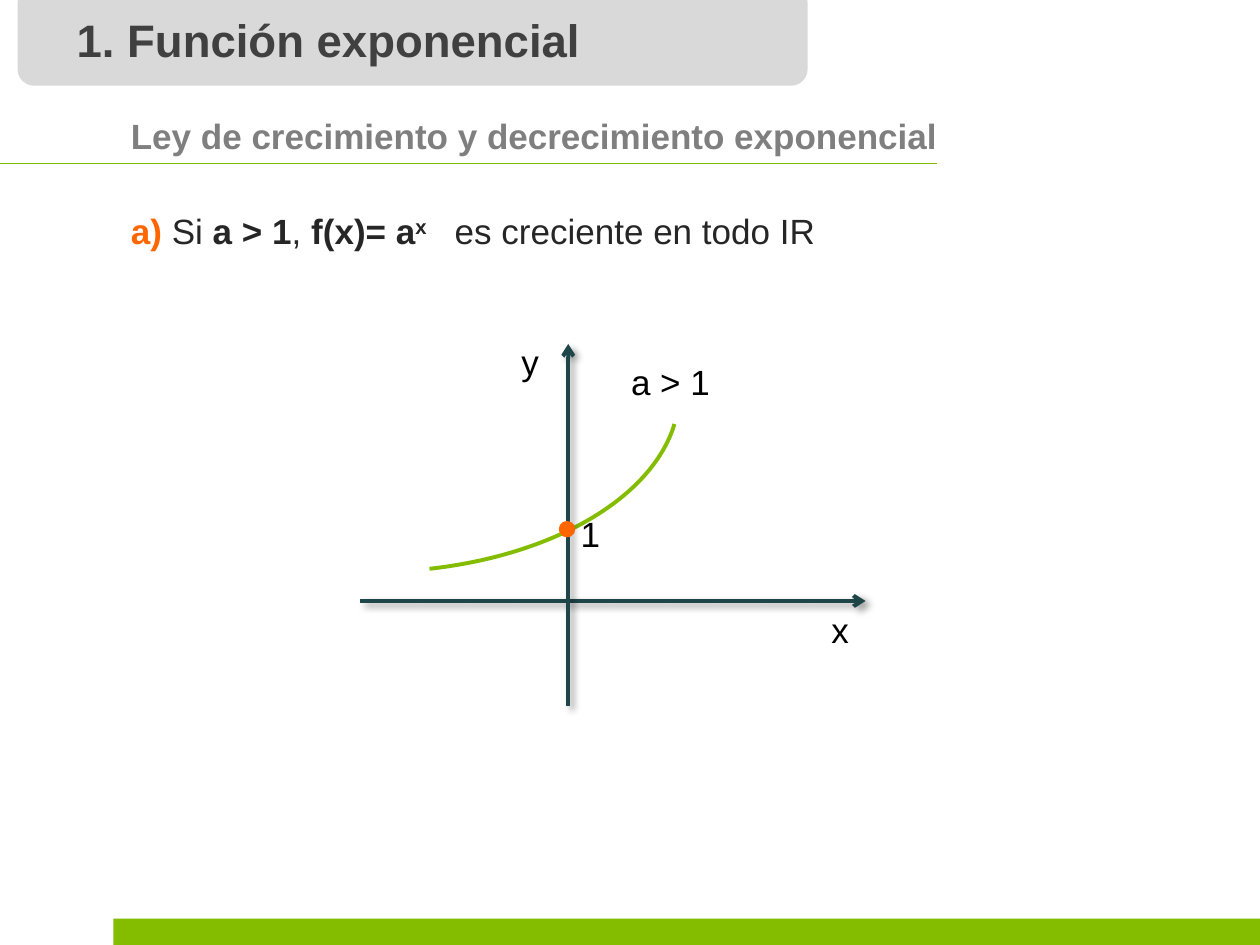
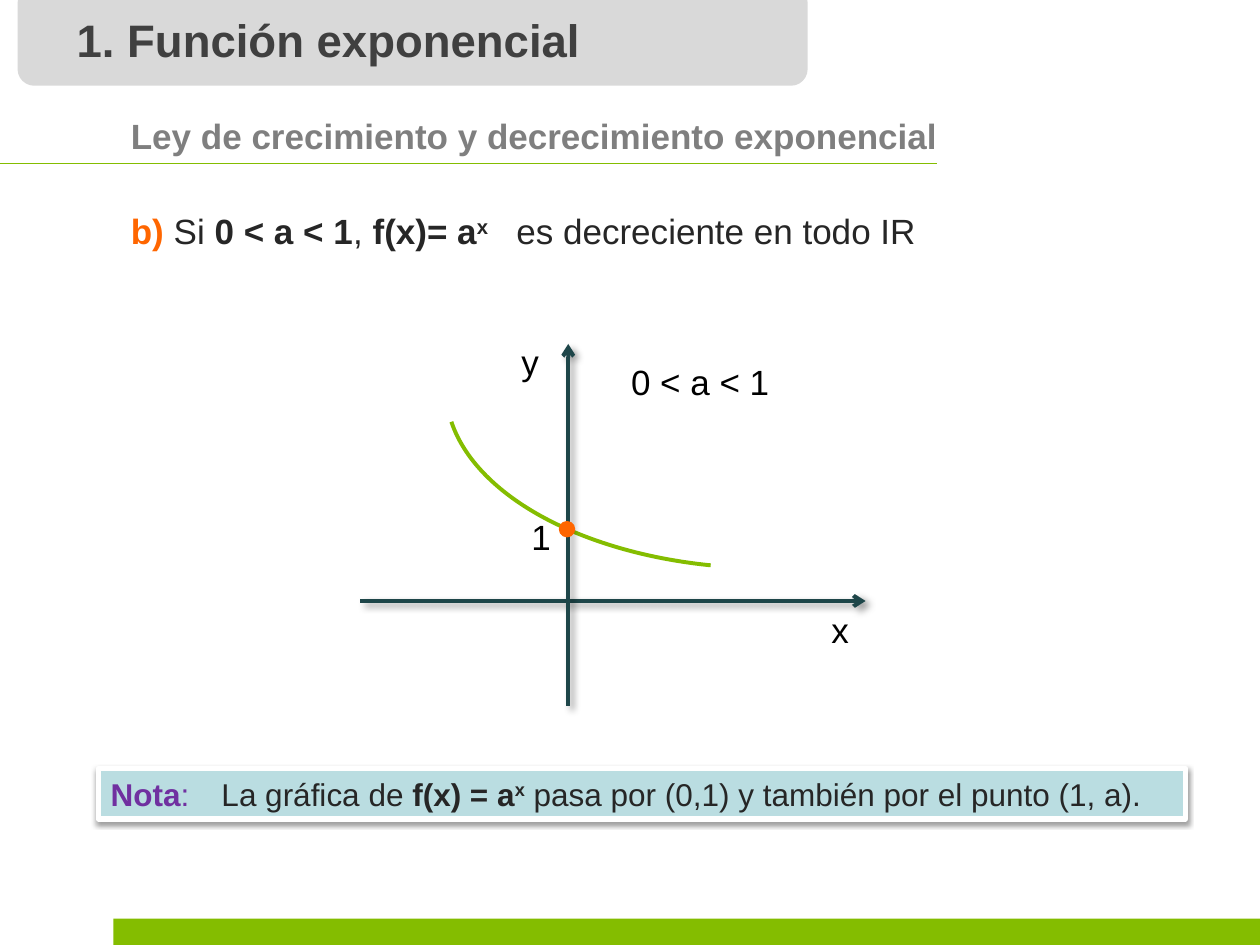
from lxml import etree
from pptx import Presentation
from pptx.dml.color import RGBColor
from pptx.enum.shapes import MSO_CONNECTOR, MSO_SHAPE
from pptx.enum.text import MSO_ANCHOR, PP_ALIGN
from pptx.oxml.ns import qn
from pptx.util import Inches, Pt

STRAIGHT = MSO_CONNECTOR.STRAIGHT
RECT, ROUND_RECT = MSO_SHAPE.RECTANGLE, MSO_SHAPE.ROUNDED_RECTANGLE
ARC, OVAL = MSO_SHAPE.ARC, MSO_SHAPE.OVAL
MIDDLE, LEFT = MSO_ANCHOR.MIDDLE, PP_ALIGN.LEFT

FONT = "Arial"
COLORS = {
    "green": "84BD00", "band": "D9D9D9", "title": "404040",
    "subtitle": "7F7F7F", "text": "262626", "accent": "FF6600",
    "axis": "1E4649", "label": "000000", "note": "BADDE1",
    "note_head": "7030A0", "white": "FFFFFF",
}


def rgb(name):
    return RGBColor.from_string(COLORS[name])


def add_effects(shape, shadow=None):
    """Set the effects; shadow is (alpha %, blur pt, distance pt, degrees)."""
    effects = etree.SubElement(shape._element.spPr, qn("a:effectLst"))
    if shadow:
        alpha, blur, dist, angle = shadow
        outer = etree.SubElement(
            effects, qn("a:outerShdw"), blurRad=str(Pt(blur)),
            dist=str(Pt(dist)), dir=str(angle * 60000), rotWithShape="0")
        color = etree.SubElement(outer, qn("a:srgbClr"), val=COLORS["label"])
        etree.SubElement(color, qn("a:alpha"), val=str(alpha * 1000))


def add_shape(slide, kind, box, fill=None, line=None, width=0.75):
    sp = slide.shapes.add_shape(kind, *map(Inches, box))
    if fill:
        sp.fill.solid()
        sp.fill.fore_color.rgb = rgb(fill)
    else:
        sp.fill.background()
    if line:
        sp.line.color.rgb = rgb(line)
        sp.line.width = Pt(width)
    else:
        sp.line.fill.background()
    return sp


def add_line(slide, start, end, color, width, arrow=False, shadow=None):
    cx = slide.shapes.add_connector(STRAIGHT, *map(Inches, start + end))
    cx.line.color.rgb = rgb(color)
    cx.line.width = Pt(width)
    if arrow:
        ln = cx._element.spPr.find(qn("a:ln"))
        etree.SubElement(ln, qn("a:tailEnd"), type="arrow")
    add_effects(cx, shadow)


def add_text(slide, box, text, size=20, color="label", bold=False, wrap=True):
    tf = slide.shapes.add_textbox(*map(Inches, box)).text_frame
    tf.word_wrap = wrap
    p = tf.paragraphs[0]
    p.text = text
    p.font.name, p.font.size, p.font.bold = FONT, Pt(size), bold
    p.font.color.rgb = rgb(color)
    return p


def add_runs(p, runs, size):
    """Fill a paragraph with runs of (text, color, bold, raised)."""
    p.font.name, p.font.size = FONT, Pt(size)
    for text, color, bold, raised in runs:
        r = p.add_run()
        r.text = text
        r.font.bold = bold
        r.font.color.rgb = rgb(color)
        if raised:
            r._r.get_or_add_rPr().set("baseline", "30000")


def add_frame(slide):
    # Footer band
    add_shape(slide, RECT, (0.9, 7.29, 9.1, 0.21), "green").shadow.inherit = False
    # Title tab
    tab = add_shape(slide, ROUND_RECT, (0.14, -0.11, 6.27, 0.79), "band")
    tab.shadow.inherit = False
    add_text(slide, (0.51, 0.05, 5.51, 0.54), "1. Función exponencial",
             26, "title", True)
    # Underlined subtitle
    add_text(slide, (0.94, 0.86, 8.98, 0.44),
             "Ley de crecimiento y decrecimiento exponencial",
             20, "subtitle", True)
    add_line(slide, (-0.04, 1.3), (7.44, 1.3), "green", 0.75)


def add_law(slide, box, letter, condition, trend, tab):
    p = add_text(slide, box, "")
    p.line_spacing = 1.2
    tabs = etree.Element(qn("a:tabLst"))
    etree.SubElement(tabs, qn("a:tab"), pos=str(Inches(tab)), algn="l")
    p._p.get_or_add_pPr().find(qn("a:defRPr")).addprevious(tabs)
    add_runs(p, [
        (f"{letter}) ", "accent", True, False),
        ("Si ", "text", False, False),
        (condition, "text", True, False),
        (", ", "text", False, False),
        ("f(x)= a", "text", True, False),
        ("x", "text", True, True),
        (f"\tes {trend} en todo IR", "text", False, False),
    ], 20)


def add_graph(slide, left, top, condition, arc_box, angles, one_at):
    def place(x, y, *size):
        return (left + x, top + y) + size

    # Curve: part of an ellipse, angles in degrees clockwise from the right
    curve = add_shape(slide, ARC, place(*arc_box), line="green", width=2.25)
    curve.shadow.inherit = False
    for i, angle in enumerate(angles):
        curve.adjustments[i] = angle * 0.6  # 60000ths of a degree / 100000
    # Axes
    for start, end in (((0, 2.12), (4.01, 2.12)), ((1.65, 2.95), (1.65, 0.08))):
        add_line(slide, place(*start), place(*end), "axis", 2.25,
                 arrow=True, shadow=(40, 4, 3, 45))
    # Labels
    add_text(slide, place(*one_at, 0.36, 0.44), "1", wrap=False)
    for text, x, y, width in ((condition, 2.05, 0.16, 1.59),
                              ("x", 3.64, 2.13, 0.79), ("y", 1.18, 0, 0.79)):
        add_text(slide, place(x, y, width, 0.44), text)
    # Crossing point
    dot = add_shape(slide, OVAL, place(1.58, 1.49, 0.12, 0.12), "accent", "accent")
    dot.shadow.inherit = False


def add_note(slide, box):
    sp = add_shape(slide, RECT, box, "note", "white", 3)
    add_effects(sp, (38, 3.1, 1.6, 90))
    tf = sp.text_frame
    tf.word_wrap = True
    tf.vertical_anchor = MIDDLE
    p = tf.paragraphs[0]
    p.alignment = LEFT
    pPr = p._p.get_or_add_pPr()
    pPr.set("marL", str(Inches(0.88)))
    pPr.set("indent", str(Inches(-0.88)))
    add_runs(p, [
        ("Nota", "note_head", True, False),
        (":\t", "note_head", False, False),
        ("La gráfica de ", "text", False, False),
        ("f(x) = a", "text", True, False),
        ("x", "text", True, True),
        (" pasa por (0,1) y también por el punto (1, a).", "text", False, False),
    ], 18)


def add_law_slide(prs, law, graph):
    slide = prs.slides.add_slide(prs.slide_layouts[6])
    add_frame(slide)
    add_law(slide, (0.94, 1.55, 7.92, 0.47), *law)
    add_graph(slide, 2.86, 2.65, *graph)
    return slide


def main():
    prs = Presentation()
    prs.slide_width, prs.slide_height = Inches(10), Inches(7.5)

    start, end = 5.84, 71.78
    add_law_slide(
        prs, ("a", "a > 1", "creciente", 2.57),
        ("a > 1", (-2.35, -0.95, 4.88, 2.84), (start, end), (1.65, 1.37)))

    # The falling curve mirrors the rising one
    slide = add_law_slide(
        prs, ("b", "0 < a < 1", "decreciente", 3.06),
        ("0 < a < 1", (0.68, -0.98, 5.12, 2.84), (180 - end, 180 - start),
         (1.26, 1.39)))
    add_note(slide, (0.78, 6.1, 8.63, 0.4))

    prs.save("out.pptx")


if __name__ == "__main__":
    main()
